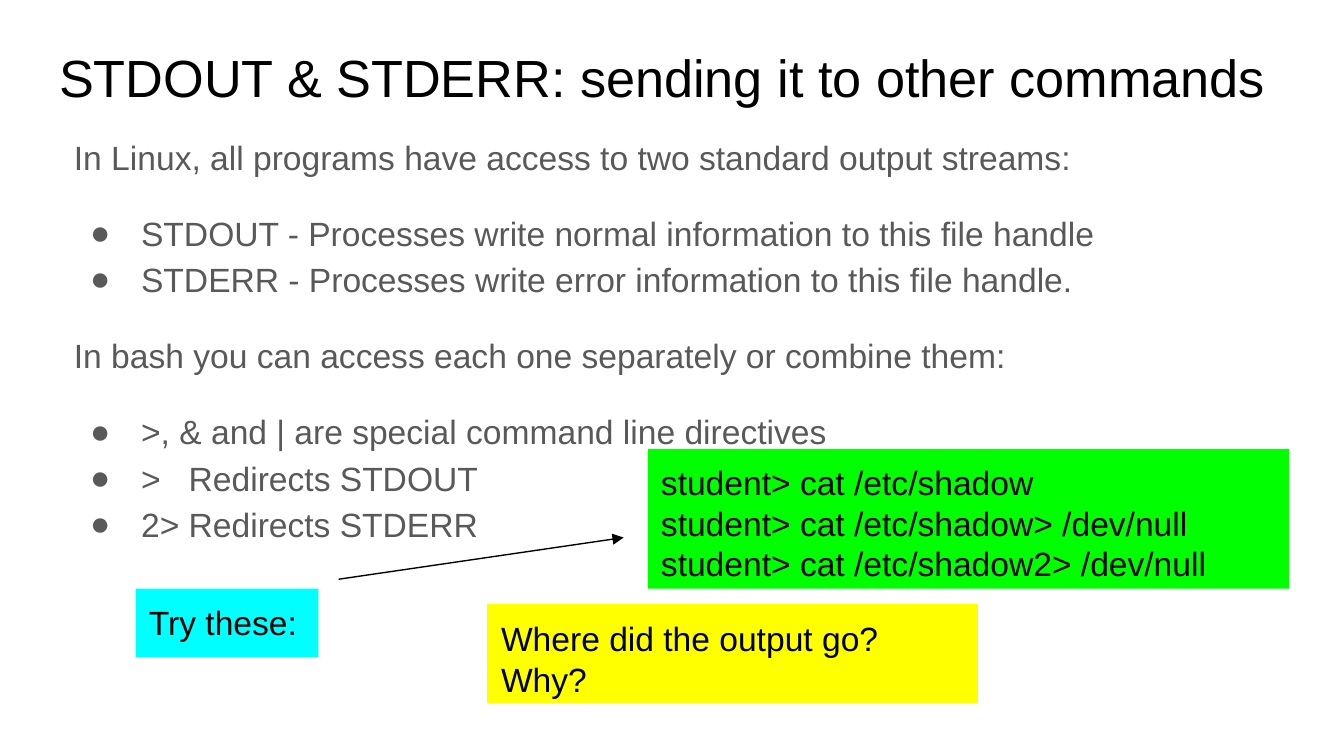
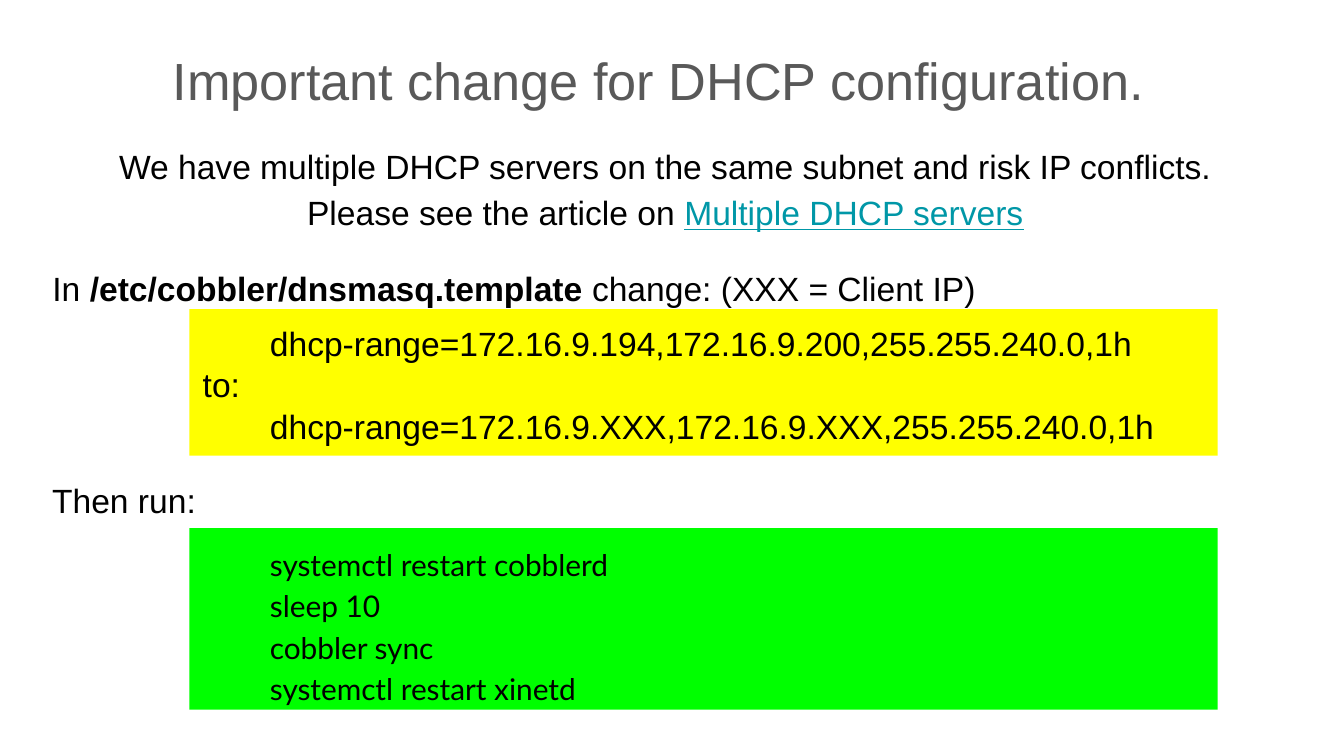
from dataclasses import dataclass

from lxml import etree
from pptx import Presentation
from pptx.dml.color import RGBColor
from pptx.enum.shapes import MSO_CONNECTOR as Connector
from pptx.enum.shapes import MSO_SHAPE as Shape
from pptx.enum.text import MSO_ANCHOR as Anchor
from pptx.enum.text import MSO_AUTO_SIZE as AutoSize
from pptx.enum.text import PP_ALIGN as Align
from pptx.oxml.ns import qn
from pptx.util import Inches, Pt

COLORS = {
    "black": "000000",
    "gray": "595959",
    "green": "00FF00",
    "cyan": "00FFFF",
    "yellow": "FFFF00",
    "link": "0097A7",
}
BODY_SPACING = 1.15
BODY_GAP = 16
COMMAND_GAP = 0.6


@dataclass
class Run:
    text: str
    bold: bool = False
    link: bool = False
    tracking: int = 0


@dataclass
class Para:
    content: object
    size: int = 18
    font: str = "Arial"
    color: str = "black"
    align: object = Align.LEFT
    spacing: float = 1.0
    before: float = 0
    indent: float = 0
    bullet: bool = False


def rgb(name):
    return RGBColor.from_string(COLORS[name])


def set_indent(paragraph, para):
    properties = paragraph._p.get_or_add_pPr()
    left, first = (0.5, -0.38) if para.bullet else (para.indent, 0)
    properties.set("marL", str(Inches(left)))
    properties.set("indent", str(Inches(first)))
    if not para.bullet:
        etree.SubElement(properties, qn("a:buNone"))
        return
    bullet_color = etree.SubElement(properties, qn("a:buClr"))
    etree.SubElement(bullet_color, qn("a:srgbClr"), val=COLORS[para.color])
    etree.SubElement(properties, qn("a:buFont"), typeface=para.font)
    etree.SubElement(properties, qn("a:buChar"), char="●")


def add_run(paragraph, part):
    for number, line in enumerate(part.text.split("\n")):
        if number:
            paragraph.add_line_break()
        run = paragraph.add_run()
        run.text = line
        if part.bold:
            run.font.bold = True
        if part.link:
            run.font.underline = True
            run.font.color.rgb = rgb("link")
        if part.tracking:
            run._r.get_or_add_rPr().set("spc", str(part.tracking * 100))


def write(frame, paras):
    frame.word_wrap = True
    frame.auto_size = AutoSize.NONE
    frame.vertical_anchor = Anchor.TOP
    frame.margin_left = frame.margin_right = Inches(0.1)
    frame.margin_top = frame.margin_bottom = Inches(0.1)
    for number, para in enumerate(paras):
        paragraph = frame.add_paragraph() if number else frame.paragraphs[0]
        paragraph.alignment = para.align
        paragraph.line_spacing = para.spacing
        paragraph.space_before = Pt(para.before)
        paragraph.space_after = Pt(0)
        set_indent(paragraph, para)
        paragraph.font.size = Pt(para.size)
        paragraph.font.name = para.font
        paragraph.font.color.rgb = rgb(para.color)
        parts = [Run(para.content)] if isinstance(para.content, str) else para.content
        for part in parts:
            add_run(paragraph, part)


def fill_placeholder(placeholder, box, paras):
    placeholder.left, placeholder.top, placeholder.width, placeholder.height = map(Inches, box)
    write(placeholder.text_frame, paras)


def add_panel(slide, box, color, paras, outlined=False):
    panel = slide.shapes.add_shape(Shape.RECTANGLE, *map(Inches, box))
    panel.shadow.inherit = False
    panel.fill.solid()
    panel.fill.fore_color.rgb = rgb(color)
    if outlined:
        panel.line.color.rgb = rgb(color)
        panel.line.width = Pt(0.75)
    else:
        panel.line.fill.background()
    write(panel.text_frame, paras)


def add_arrow(slide, start, end):
    arrow = slide.shapes.add_connector(Connector.STRAIGHT, *map(Inches, start + end))
    arrow.line.color.rgb = rgb("black")
    arrow.line.width = Pt(0.75)
    etree.SubElement(arrow.line._get_or_add_ln(), qn("a:tailEnd"), type="triangle")
    etree.SubElement(arrow._element.spPr, qn("a:effectLst"))


def add_slide(deck, title_box, title, body_box, body):
    slide = deck.slides.add_slide(deck.slide_layouts[1])
    fill_placeholder(slide.shapes.title, title_box, [title])
    fill_placeholder(slide.placeholders[1], body_box, body)
    return slide


def streams_slide(deck):
    def intro(text, before=BODY_GAP):
        return Para(text, color="gray", spacing=BODY_SPACING, before=before)

    def bullets(*items):
        return [
            Para(item, color="gray", spacing=BODY_SPACING, bullet=True,
                 before=0 if number else BODY_GAP)
            for number, item in enumerate(items)
        ]

    slide = add_slide(
        deck,
        (0.34, 0.24, 9.32, 0.63),
        Para("STDOUT & STDERR: sending it to other commands", size=28),
        (0.45, 0.87, 9.32, 4.36),
        [
            intro("In Linux, all programs have access to two standard output streams:", 0),
            *bullets(
                "STDOUT - Processes write normal information to this file handle",
                "STDERR - Processes write error information to this file handle.",
            ),
            intro("In bash you can access each one separately or combine them:"),
            *bullets(
                ">, & and | are special command line directives",
                [Run(">"), Run(" ", tracking=10), Run("Redirects STDOUT")],
                "2> Redirects STDERR",
            ),
        ],
    )
    commands = ("cat /etc/shadow", "cat /etc/shadow> /dev/null", "cat /etc/shadow2> /dev/null")
    add_panel(slide, (4.82, 3.34, 4.77, 1.04), "green",
              [Para(f"student> {command}") for command in commands])
    add_panel(slide, (1.01, 4.38, 1.36, 0.51), "cyan", [Para("Try these:")])
    add_arrow(slide, (2.52, 4.31), (4.64, 4))
    add_panel(slide, (3.63, 4.5, 3.64, 0.73), "yellow",
              [Para("Where did the output go? Why?")], outlined=True)


def dhcp_slide(deck):
    slide = add_slide(
        deck,
        (0.29, 0.19, 9.32, 0.63),
        Para("Important change for DHCP configuration. ", size=28, color="gray",
             align=Align.CENTER, spacing=BODY_SPACING),
        (0.29, 0.94, 9.32, 1.35),
        [
            Para([Run("We have multiple DHCP servers on the same subnet and risk IP conflicts.\n"
                      "Please see the article on "),
                  Run("Multiple DHCP servers", link=True)],
                 align=Align.CENTER, spacing=BODY_SPACING),
            Para([Run("In "), Run("/etc/cobbler/dnsmasq.template ", bold=True),
                  Run("change: (XXX = Client IP)")],
                 spacing=BODY_SPACING, before=BODY_GAP),
        ],
    )
    restart_steps = ("systemctl restart cobblerd", "sleep 10", "cobbler sync",
                     "systemctl restart xinetd")
    add_panel(slide, (1.41, 3.93, 7.65, 1.35), "green",
              [Para(step, size=16, font="Lato", spacing=BODY_SPACING, indent=0.5)
               for step in restart_steps])
    range_lines = (
        ("dhcp-range=172.16.9.194,172.16.9.200,255.255.240.0,1h", 0.5),
        ("to:", 0),
        ("dhcp-range=172.16.9.XXX,172.16.9.XXX,255.255.240.0,1h", 0.5),
    )
    add_panel(slide, (1.41, 2.3, 7.65, 1.09), "yellow",
              [Para(line, before=COMMAND_GAP, indent=indent) for line, indent in range_lines])
    then_run = slide.shapes.add_textbox(*map(Inches, (0.29, 3.47, 1.94, 0.53)))
    write(then_run.text_frame, [Para("Then run:", before=COMMAND_GAP)])


def main():
    deck = Presentation()
    deck.slide_width = Inches(10)
    deck.slide_height = Inches(10 * 9 / 16)
    streams_slide(deck)
    dhcp_slide(deck)
    deck.save("out.pptx")


if __name__ == "__main__":
    main()
